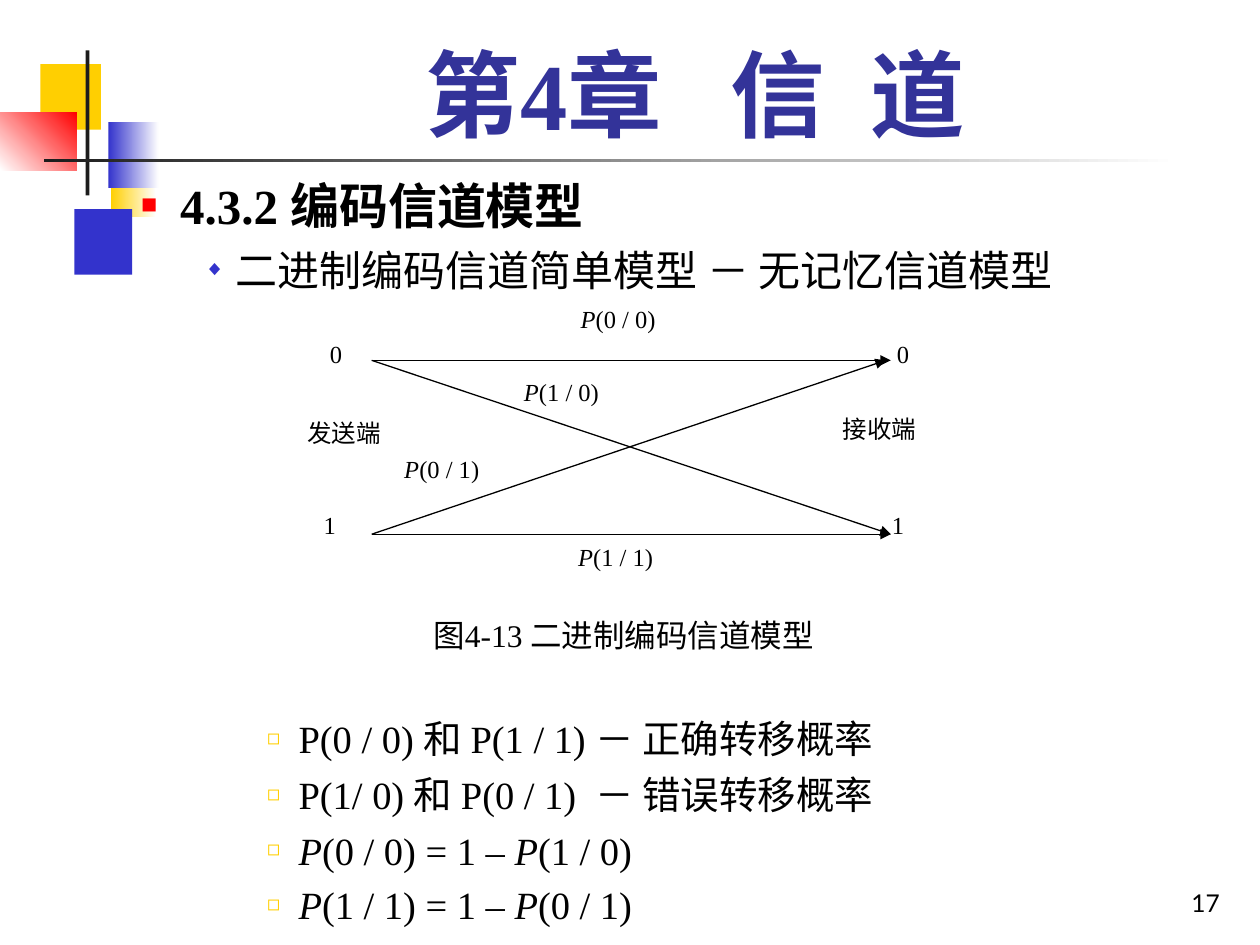
from lxml import etree
from pptx import Presentation
from pptx.dml.color import RGBColor
from pptx.enum.shapes import MSO_CONNECTOR, MSO_SHAPE
from pptx.enum.text import MSO_ANCHOR, MSO_AUTO_SIZE, PP_ALIGN
from pptx.oxml.ns import qn
from pptx.util import Inches, Pt

RECTANGLE = MSO_SHAPE.RECTANGLE
STRAIGHT = MSO_CONNECTOR.STRAIGHT
TOP, BOTTOM = MSO_ANCHOR.TOP, MSO_ANCHOR.BOTTOM
NO_AUTOFIT = MSO_AUTO_SIZE.NONE
LEFT, CENTER, RIGHT, JUSTIFY = (
    PP_ALIGN.LEFT, PP_ALIGN.CENTER, PP_ALIGN.RIGHT, PP_ALIGN.JUSTIFY)

SERIF, SANS = "Times New Roman", "Lato"
BLACK, WHITE, DARK = "000000", "FFFFFF", "1C1C1C"
YELLOW, BLUE, RED, NAVY = "FFCF01", "3333CC", "FF0000", "333399"

# Left, top, width, height, colours (two make a gradient), gradient angle
DECORATIONS = [
    (0.88, 1.2, 0.36, 0.52, (YELLOW, WHITE), 0),
    (0.59, 1.66, 0.46, 0.52, (BLUE,), 0),
    (0.32, 0.51, 0.48, 0.52, (YELLOW,), 0),
    (0.86, 0.97, 0.4, 0.52, (BLUE, WHITE), 0),
    (0, 0.89, 0.61, 0.46, (WHITE, RED), 45),
    (0.68, 0.4, 0.03, 1.15, (DARK,), 0),
    (0.35, 1.26, 9, 0.03, (DARK, WHITE), 0),
]

# Level: left margin, hanging indent, size, bullet, bullet colour, bullet percent
LEVELS = {
    1: (0.81, 0.31, 28, "■", RED, 55),
    2: (1.25, 0.25, 24, "◆", BLUE, 50),
    3: (1.75, 0.25, 22, "◻", YELLOW, 55),
}

# Level, space before, spans; the large space leaves room for the diagram
OUTLINE = [
    (1, 0, ["4.3.2 编码信道模型"]),
    (2, 6, ["二进制编码信道简单模型 － 无记忆信道模型"]),
    (3, 240, ["P(0 / 0) 和 P(1 / 1) － 正确转移概率"]),
    (3, 5.5, ["P(1/ 0) 和 P(0 / 1)", (" ", 5.5), "－ 错误转移概率"]),
    (3, 5.5, ["P", "(0 / 0) = 1 – ", "P", "(1 / 0)"]),
    (3, 5, ["P", "(1 / 1) = 1 – ", "P", "(0 / 1)"]),
]

# Sender and receiver nodes of the channel
SEND_X, RECEIVE_X, ZERO_Y, ONE_Y = 2.95, 7.07, 2.86, 4.24
ARROWS = [
    (SEND_X, ZERO_Y, RECEIVE_X, ZERO_Y),
    (SEND_X, ONE_Y, RECEIVE_X, ONE_Y),
    (SEND_X, ZERO_Y, RECEIVE_X, ONE_Y),
    (SEND_X, ONE_Y, 7.03, ZERO_Y),
]
PROBABILITIES = [
    (4.06, 2.94, "(1 / 0)"), (3.11, 3.55, "(0 / 1)"),
    (4.51, 2.36, "(0 / 0)"), (4.49, 4.25, "(1 / 1)"),
]
SYMBOLS = [(2.52, 2.64, "0"), (7.02, 2.64, "0"), (6.98, 4, "1"), (2.47, 4, "1")]
ENDS = [(2.34, 3.27, "发送端"), (6.59, 3.24, "接收端")]


def color(hex_string):
    return RGBColor.from_string(hex_string)


def write_spans(para, spans, size, font=SERIF, hex_string=BLACK, bold=False):
    """Write spans; a lone P is italic, a (text, points) pair is spaced out."""
    for item in spans:
        text, spacing = item if isinstance(item, tuple) else (item, 0)
        span = para.add_run()
        span.text = text
        span.font.name = font
        span.font.size = Pt(size)
        span.font.bold = bold
        span.font.italic = text == "P"
        span.font.color.rgb = color(hex_string)
        if spacing:
            span.font._element.set("spc", str(int(spacing * 100)))


def place(box, left, top, width, height, anchor=TOP):
    box.left, box.top = Inches(left), Inches(top)
    box.width, box.height = Inches(width), Inches(height)
    frame = box.text_frame
    frame.word_wrap = True
    frame.auto_size = NO_AUTOFIT
    frame.vertical_anchor = anchor
    return frame


def add_label(page, left, top, width, height, spans, size=14,
              align=JUSTIFY, font=SERIF, anchor=TOP):
    box = page.shapes.add_textbox(0, 0, 0, 0)
    para = place(box, left, top, width, height, anchor).paragraphs[0]
    para.alignment = align
    write_spans(para, spans, size, font)


def add_decoration(page, left, top, width, height, colors, angle):
    shape = page.shapes.add_shape(
        RECTANGLE, Inches(left), Inches(top), Inches(width), Inches(height))
    shape.shadow.inherit = False
    shape.line.fill.background()
    if len(colors) == 1:
        shape.fill.solid()
        shape.fill.fore_color.rgb = color(colors[0])
        return
    shape.fill.gradient()
    shape.fill.gradient_angle = angle
    for stop, hex_string, position in zip(shape.fill.gradient_stops, colors, (0, 1)):
        stop.color.rgb = color(hex_string)
        stop.position = position


def add_arrow(page, x1, y1, x2, y2):
    arrow = page.shapes.add_connector(
        STRAIGHT, Inches(x1), Inches(y1), Inches(x2), Inches(y2))
    arrow.line.color.rgb = color(BLACK)
    arrow.line.width = Pt(0.75)
    etree.SubElement(arrow.line._get_or_add_ln(), qn("a:tailEnd"), type="triangle")
    etree.SubElement(arrow.element.spPr, qn("a:effectLst"))


def set_bullet(para, margin, hanging, bullet, hex_string, percent):
    properties = para._p.get_or_add_pPr()
    properties.set("marL", str(Inches(margin)))
    properties.set("indent", str(-Inches(hanging)))
    bullet_color = etree.SubElement(properties, qn("a:buClr"))
    etree.SubElement(bullet_color, qn("a:srgbClr"), val=hex_string)
    etree.SubElement(properties, qn("a:buSzPct"), val=str(percent * 1000))
    etree.SubElement(properties, qn("a:buChar"), char=bullet)


def fill_title(title):
    para = place(title, 1.26, 0.23, 8.52, 1.01, BOTTOM).paragraphs[0]
    para.alignment = CENTER
    spans = ["第4章", (" ", 27), "信", (" ", 13.5), "道"]
    write_spans(para, spans, 54, hex_string=NAVY, bold=True)


def fill_outline(body):
    frame = place(body, 0.52, 1.34, 9.29, 6.16)
    for index, (level, space, spans) in enumerate(OUTLINE):
        para = frame.add_paragraph() if index else frame.paragraphs[0]
        margin, hanging, size, *bullet = LEVELS[level]
        para.level = level - 1
        para.alignment = LEFT
        set_bullet(para, margin, hanging, *bullet)
        para.space_before = Pt(space)
        write_spans(para, spans, size, bold=level == 1)


def add_diagram(page):
    for left, top, text in PROBABILITIES:
        add_label(page, left, top, 1.09, 0.49, ["P", text])
    for left, top, text in SYMBOLS:
        add_label(page, left, top, 0.59, 0.42, [text])
    for ends in ARROWS:
        add_arrow(page, *ends)
    for left, top, text in ENDS:
        add_label(page, left, top, 1.02, 0.42, [text])
    add_label(page, 2.81, 4.84, 4.28, 0.61, ["图4-13 二进制编码信道模型"], 18, CENTER)


def main():
    deck = Presentation()
    deck.slide_width, deck.slide_height = Inches(10), Inches(7.5)
    page = deck.slides.add_slide(deck.slide_layouts[1])
    title, body = page.shapes.title, page.placeholders[1]

    # Corner decoration, kept behind the placeholders
    for decoration in DECORATIONS:
        add_decoration(page, *decoration)
    for placeholder in (title, body):
        page.shapes.element.append(placeholder.element)

    # Title, outline and page number
    fill_title(title)
    fill_outline(body)
    add_label(page, 7.7, 6.83, 2.08, 0.5, ["17"], 14, RIGHT, SANS, BOTTOM)

    # Binary channel
    add_diagram(page)
    deck.save("out.pptx")


if __name__ == "__main__":
    main()
